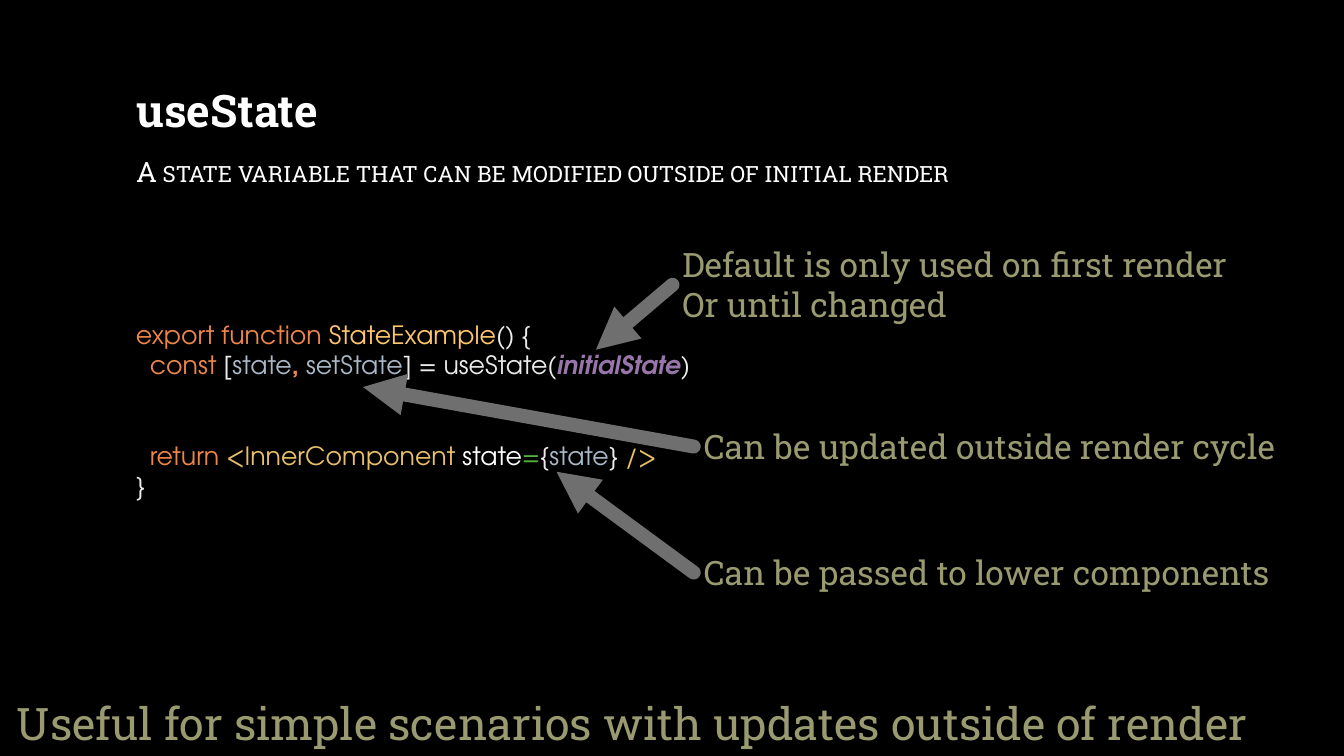
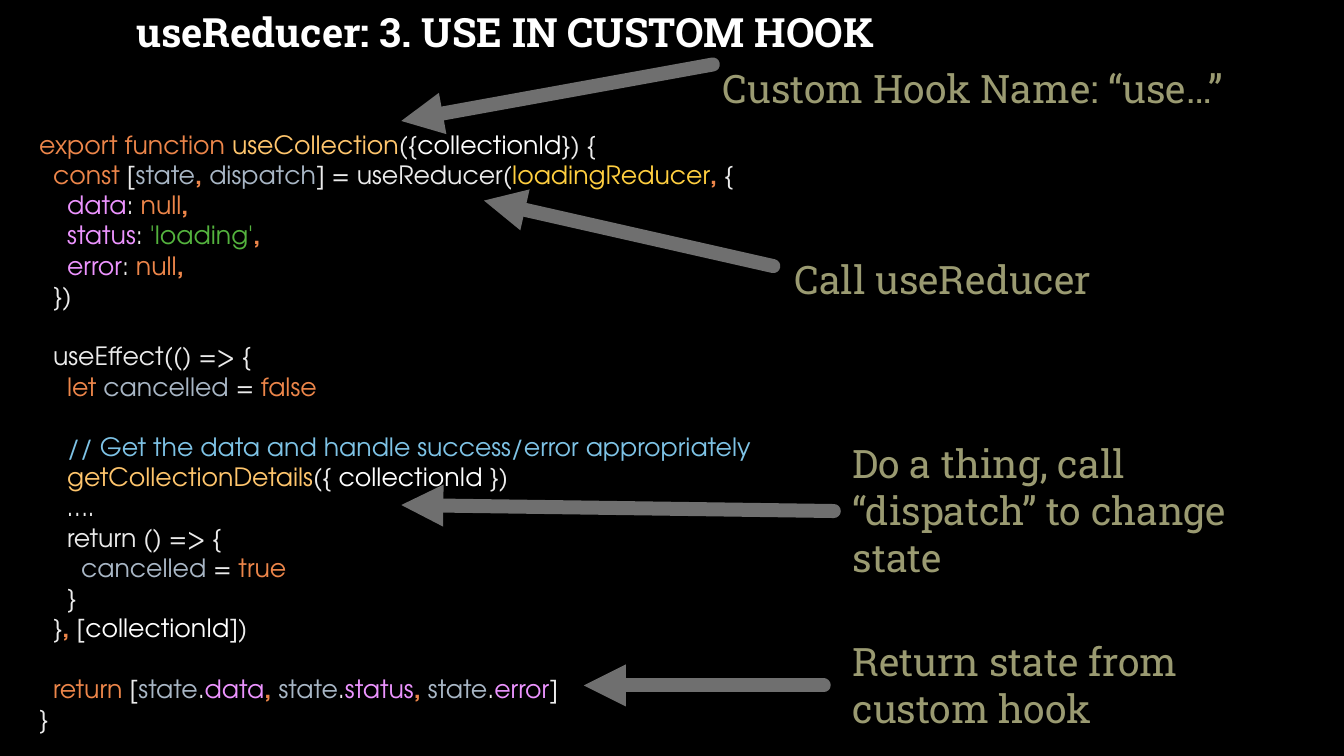
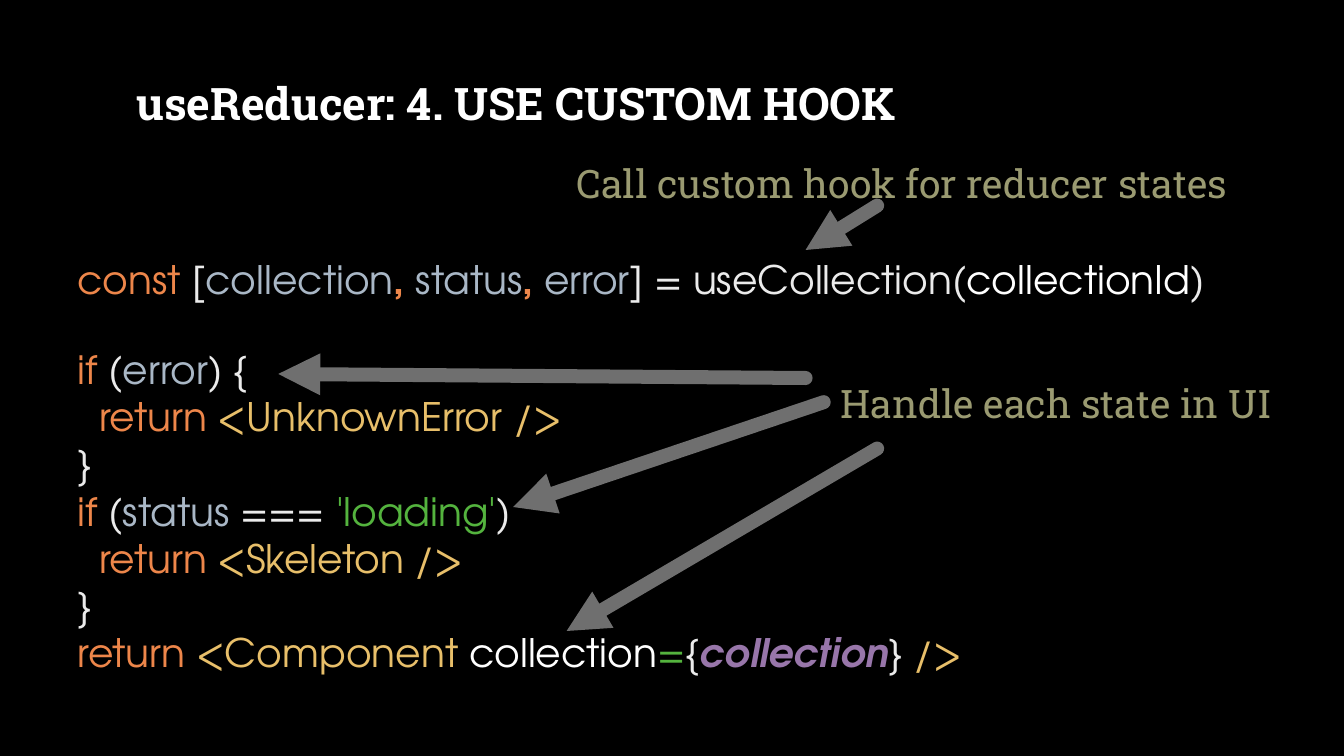
from lxml.etree import SubElement
from pptx import Presentation
from pptx.dml.color import RGBColor
from pptx.enum.shapes import MSO_CONNECTOR
from pptx.enum.text import MSO_ANCHOR, MSO_AUTO_SIZE, PP_ALIGN
from pptx.oxml.ns import qn
from pptx.util import Inches, Pt

COLORS = {
    "background": "000000",
    "heading": "FFFFFF",
    "note": "9A9A71",
    "arrow": "6F6F6F",
    "plain": "EBEBEB",
    "keyword": "ED864A",
    "comma": "ED864A",
    "function": "FFC66D",
    "variable": "A9B7C6",
    "parameter": "FFFFFF",
    "argument": "9876AA",
    "tag": "E8BF6A",
    "string": "54B33E",
    "property": "ED94FF",
    "reducer": "FFCF40",
    "comment": "7EC3E6",
}
BOLD_KINDS = {"comma", "argument"}
TEXT_FONT = "Roboto Slab"
CODE_FONT = "TeX Gyre Adventor"
LINE_HEIGHT = 1.2

state_code = [
    [("keyword", "export function "), ("function", "StateExample"), ("plain", "() {")],
    [("keyword", "  const "), ("plain", "["), ("variable", "state"), ("comma", ", "),
     ("variable", "setState"), ("plain", "] = useState("), ("argument", "initialState"),
     ("plain", ")")],
    [],
    [],
    [("keyword", "  return "), ("tag", "<InnerComponent "), ("parameter", "state"),
     ("string", "="), ("plain", "{"), ("variable", "state"), ("plain", "} "), ("tag", "/>")],
    [("plain", "}")],
]

hook_code = [
    [("keyword", "export function "), ("function", "useCollection"), ("plain", "({"),
     ("parameter", "collectionId"), ("plain", "}) {")],
    [("keyword", "  const "), ("plain", "["), ("variable", "state"), ("comma", ", "),
     ("variable", "dispatch"), ("plain", "] = useReducer("), ("reducer", "loadingReducer"),
     ("comma", ", "), ("plain", "{")],
    [("property", "    data"), ("plain", ": "), ("keyword", "null"), ("comma", ",")],
    [("property", "    status"), ("plain", ": "), ("string", "'loading'"), ("comma", ",")],
    [("property", "    error"), ("plain", ": "), ("keyword", "null"), ("comma", ",")],
    [("plain", "  })")],
    [],
    [("plain", "  useEffect(() => {")],
    [("keyword", "    let "), ("variable", "cancelled "), ("plain", "= "), ("keyword", "false")],
    [],
    [("comment", "    // Get the data and handle success/error appropriately")],
    [("function", "    getCollectionDetails"), ("plain", "({ "),
     ("parameter", "collectionId "), ("plain", "})")],
    [("plain", "    ….")],
    [("plain", "    return () => {")],
    [("variable", "      cancelled "), ("plain", "= "), ("keyword", "true")],
    [("plain", "    }")],
    [("plain", "  }"), ("comma", ", "), ("plain", "["), ("parameter", "collectionId"),
     ("plain", "])")],
    [],
    [("keyword", "  return "), ("plain", "["), ("variable", "state"), ("plain", "."),
     ("property", "data"), ("comma", ", "), ("variable", "state"), ("plain", "."),
     ("property", "status"), ("comma", ", "), ("variable", "state"), ("plain", "."),
     ("property", "error"), ("plain", "]")],
    [("plain", "}")],
]

call_code = [
    [("keyword", "const "), ("plain", "["), ("variable", "collection"), ("comma", ", "),
     ("variable", "status"), ("comma", ", "), ("variable", "error"),
     ("plain", "] = useCollection("), ("parameter", "collectionId"), ("plain", ")")],
]

render_code = [
    [("keyword", "if "), ("plain", "("), ("variable", "error"), ("plain", ") {")],
    [("keyword", "  return "), ("tag", "<UnknownError />")],
    [("plain", "}")],
    [("keyword", "if "), ("plain", "("), ("variable", "status "), ("plain", "=== "),
     ("string", "'loading'"), ("plain", ")")],
    [("keyword", "  return "), ("tag", "<Skeleton />")],
    [("plain", "}")],
    [("keyword", "return "), ("tag", "<Component "), ("parameter", "collection"),
     ("string", "="), ("plain", "{"), ("argument", "collection"), ("plain", "} "),
     ("tag", "/>")],
]

SLIDES = [
    {
        "title": ("useState", (1.25, 0.67, 10.83, 0.84), 32),
        "subtitle": "A state variable that can be modified outside of initial render",
        "code": [(state_code, (1.25, 3.12, 6.67, 2.22), 18)],
        "notes": [
            ("Default is only used on first render\nOr until changed", (6.67, 2.37, 6.46, 0.91), 24),
            ("Can be updated outside render cycle", (6.88, 4.18, 6.46, 0.5), 24),
            ("Can be passed to lower components", (6.88, 5.43, 6.32, 0.5), 24),
            ("Useful for simple scenarios with updates outside of render",
             (0.07, 6.85, 13.2, 0.64), 32),
        ],
        "arrows": [
            ((6.63, 2.81), (5.91, 3.47), 0),
            ((6.84, 4.4), (3.6, 3.84), 1),
            ((6.84, 5.68), (5.52, 4.68), 2),
        ],
    },
    {
        "title": ("useReducer: 3. USE IN CUSTOM HOOK", (1.25, 0.04, 10.83, 0.54), 28.8),
        "code": [(hook_code, (0.29, 1.23, 8.21, 6.16), 18)],
        "notes": [
            ("Custom Hook Name: “use…”", (7.07, 0.59, 6.27, 0.57), 28),
            ("Call useReducer", (7.78, 2.48, 4.45, 0.57), 28),
            ("Do a thing, call “dispatch” to change state", (8.36, 4.31, 4.01, 1.51), 28),
            ("Return state from custom hook", (8.36, 6.27, 4.78, 1.04), 28),
        ],
        "arrows": [
            ((7.07, 0.64), (3.98, 1.2), None),
            ((7.67, 2.64), (4.8, 1.99), None),
            ((8.27, 5.07), (3.98, 5.01), None),
            ((8.17, 6.8), (5.79, 6.8), None),
        ],
    },
    {
        "title": ("useReducer: 4. USE CUSTOM HOOK", (1.25, 0.67, 10.83, 0.69), 32),
        "code": [
            (call_code, (0.67, 2.48, 11.8, 0.57), 28),
            (render_code, (0.67, 3.38, 8.99, 3.4), 28),
        ],
        "notes": [
            ("Call custom hook for reducer states", (5.62, 1.53, 7.33, 0.57), 28),
            ("Handle each state in UI", (8.24, 3.71, 4.88, 0.57), 28),
        ],
        "arrows": [
            ((8.7, 2.04), (7.99, 2.48), None),
            ((7.99, 3.75), (2.76, 3.71), None),
            ((8.17, 3.99), (5.09, 5.03), None),
            ((8.7, 4.45), (5.62, 6.26), None),
        ],
    },
]


def write_text(holder, text, place, size, font=TEXT_FONT, kind="note", bold=False,
               small_caps=False, anchor=MSO_ANCHOR.TOP):
    holder.left, holder.top, holder.width, holder.height = map(Inches, place)
    frame = holder.text_frame
    frame.word_wrap = True
    frame.auto_size = MSO_AUTO_SIZE.NONE
    frame.vertical_anchor = anchor
    lines = [[(kind, line)] for line in text.split("\n")] if isinstance(text, str) else text
    paragraph = None
    blank_lines = 0
    for line in lines:
        if not line:
            blank_lines += 1
            continue
        paragraph = frame.paragraphs[0] if paragraph is None else frame.add_paragraph()
        paragraph.alignment = PP_ALIGN.LEFT
        paragraph.space_before = Pt(blank_lines * size * LINE_HEIGHT)
        blank_lines = 0
        for run_kind, words in line:
            run = paragraph.add_run()
            run.text = words
            run.font.name = font
            run.font.size = Pt(size)
            run.font.bold = bold or run_kind in BOLD_KINDS
            run.font.italic = run_kind == "argument"
            run.font.color.rgb = RGBColor.from_string(COLORS[run_kind])
            if small_caps:
                run.font._element.set("cap", "small")


def draw_arrow(slide, start, end, note=None):
    arrow = slide.shapes.add_connector(MSO_CONNECTOR.STRAIGHT, *map(Inches, start + end))
    if note is not None:
        arrow.begin_connect(note, 1)
    arrow.line.color.rgb = RGBColor.from_string(COLORS["arrow"])
    arrow.line.width = Pt(10)
    outline = arrow.line._get_or_add_ln()
    outline.set("cap", "rnd")
    SubElement(outline, qn("a:round"))
    SubElement(outline, qn("a:tailEnd"), type="triangle")
    SubElement(arrow._element.spPr, qn("a:effectLst"))


prs = Presentation()
prs.slide_width, prs.slide_height = Inches(13.33), Inches(7.5)
backdrop = prs.slide_master.background.fill
backdrop.solid()
backdrop.fore_color.rgb = RGBColor.from_string(COLORS["background"])

for content in SLIDES:
    subtitle = content.get("subtitle")
    slide = prs.slides.add_slide(prs.slide_layouts[1 if subtitle else 5])
    write_text(slide.shapes.title, *content["title"], kind="heading", bold=True,
               anchor=MSO_ANCHOR.MIDDLE)
    if subtitle:
        body = slide.placeholders[1]
        properties = body.text_frame.paragraphs[0]._p.get_or_add_pPr()
        properties.set("marL", "0")
        properties.set("indent", "0")
        SubElement(properties, qn("a:buNone"))
        write_text(body, subtitle, (1.25, 1.44, 10.83, 0.52), 20, kind="heading",
                   small_caps=True, anchor=MSO_ANCHOR.MIDDLE)
    for code, place, size in content["code"]:
        write_text(slide.shapes.add_textbox(0, 0, 0, 0), code, place, size, font=CODE_FONT)
    notes = []
    for note, place, size in content["notes"]:
        notes.append(slide.shapes.add_textbox(0, 0, 0, 0))
        write_text(notes[-1], note, place, size)
    for start, end, source in content["arrows"]:
        draw_arrow(slide, start, end, None if source is None else notes[source])

prs.save("out.pptx")
